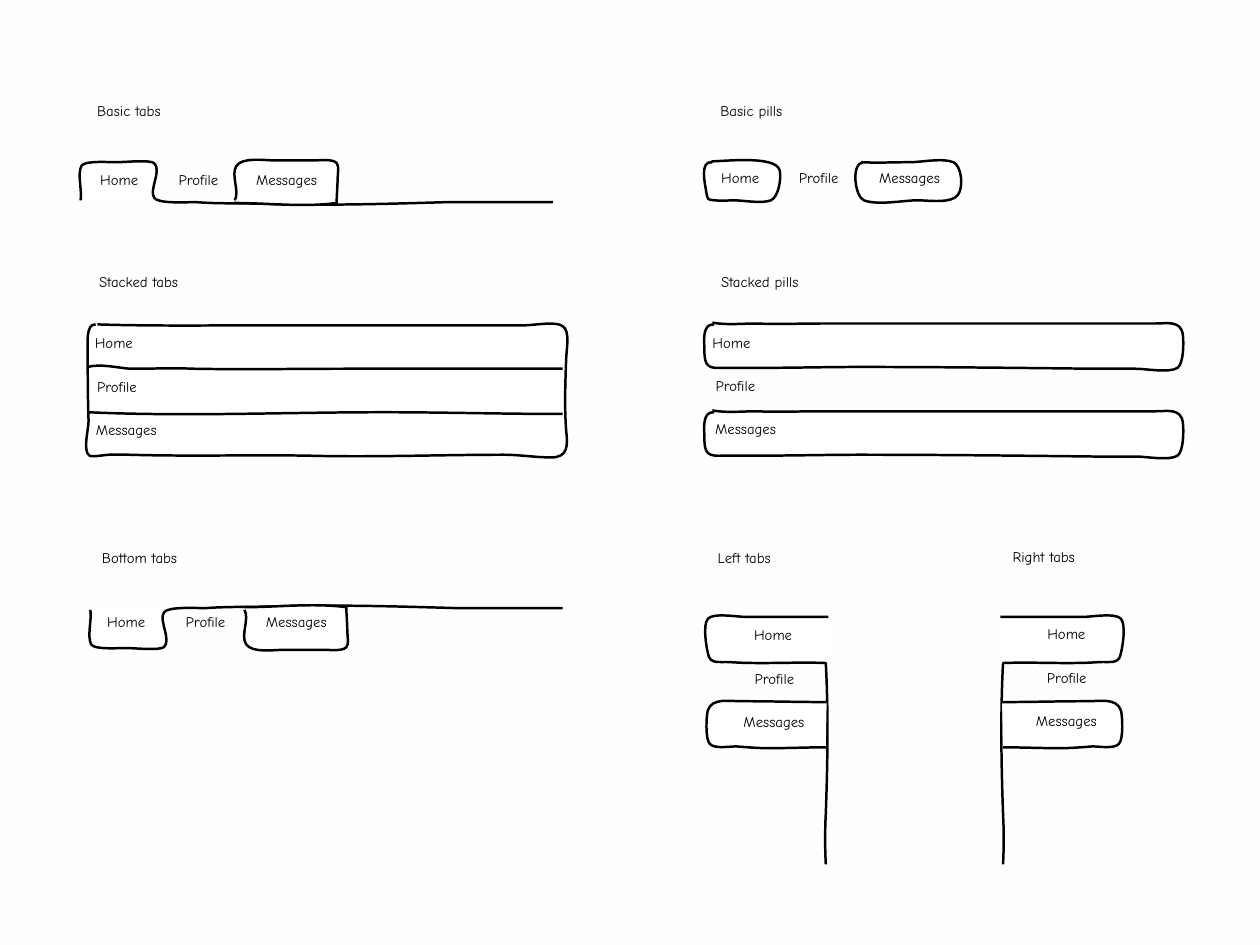
from dataclasses import dataclass

from lxml import etree
from pptx import Presentation
from pptx import util as u
from pptx.dml.color import RGBColor
from pptx.enum import text as t
from pptx.oxml.ns import qn


@dataclass(frozen=True)
class Theme:
    font: str = "Comic Neue"
    size: int = 12
    ink: str = "000000"
    fill: str = "FFFFFF"
    back: str = "FFFEFE"
    line: float = 2
    inset: float = 0.04
    high: float = 0.28


def cm(inches):
    return u.Cm(inches * 2.54)


def put(frame, text, font, size, color, align=t.PP_ALIGN.CENTER):
    part = frame.paragraphs[0]
    part.alignment = align
    run = part.add_run()
    run.text = text
    run.font.name = font
    run.font.size = u.Pt(size)
    run.font.color.rgb = RGBColor.from_string(color)


def bend(shape):
    """Turn each three line segments into one cubic curve."""
    lines = list(shape._element.iter(qn("a:lnTo")))
    for i in range(0, len(lines), 3):
        track = lines[i].getparent()
        curve = etree.SubElement(track, qn("a:cubicBezTo"))
        for line in lines[i:i + 3]:
            curve.append(line[0])
            track.remove(line)


class Sketch:
    def __init__(self, slide, theme):
        self.slide, self.theme = slide, theme
        back = slide.background.fill
        back.solid()
        back.fore_color.rgb = RGBColor.from_string(theme.back)

    def draw(self, start, curves, dx=0, dy=0, sx=1, sy=1):
        """Hand-drawn outline, shifted by dx, dy; a sign of -1 mirrors it."""
        points = [start]
        for curve in curves:
            points += zip(curve[::2], curve[1::2])
        points = [(cm(sx * x + dx), cm(sy * y + dy)) for x, y in points]
        form = self.slide.shapes.build_freeform(*points[0])
        form.add_line_segments(points[1:], close=False)
        shape = form.convert_to_shape()
        bend(shape)
        shape.shadow.inherit = False
        shape.fill.solid()
        shape.fill.fore_color.rgb = RGBColor.from_string(self.theme.fill)
        shape.line.color.rgb = RGBColor.from_string(self.theme.ink)
        shape.line.width = u.Pt(self.theme.line)

    def label(self, text, x, y, wide):
        th = self.theme
        box = self.slide.shapes.add_textbox(cm(x), cm(y), cm(wide), cm(th.high))
        frame = box.text_frame
        frame.word_wrap = False
        frame.auto_size = t.MSO_AUTO_SIZE.SHAPE_TO_FIT_TEXT
        frame.vertical_anchor = t.MSO_ANCHOR.MIDDLE
        frame.margin_left = frame.margin_right = cm(th.inset)
        frame.margin_top = frame.margin_bottom = cm(th.inset)
        put(frame, text, font=th.font, size=th.size, color=th.ink)

    def menu(self, lefts, top, step=0):
        """The three entries, in a row or stacked by step."""
        for i, ((text, wide), x) in enumerate(zip(ENTRIES, lefts)):
            self.label(text, x, top + i * step, wide)


# Outlines in inches: start point, then curves (two handles and an end)
HOME_TAB = (0.91, 2.26), [
    (0.93, 2.16, 0.87, 1.96, 0.92, 1.87), (0.96, 1.81, 1.22, 1.83, 1.32, 1.83),
    (1.4, 1.83, 1.69, 1.8, 1.74, 1.84), (1.83, 1.92, 1.68, 2.14, 1.74, 2.23),
    (1.78, 2.3, 2.1, 2.28, 2.21, 2.28), (2.47, 2.3, 2.74, 2.29, 3.01, 2.3),
    (3.69, 2.32, 4.37, 2.3, 5.05, 2.28), (5.45, 2.28, 5.85, 2.28, 6.24, 2.28)]
NEWS_TAB = (2.65, 2.26), [
    (2.71, 2.16, 2.6, 1.97, 2.67, 1.87), (2.74, 1.77, 2.99, 1.81, 3.1, 1.81),
    (3.25, 1.81, 3.4, 1.81, 3.55, 1.81), (3.6, 1.81, 3.76, 1.79, 3.8, 1.84),
    (3.83, 1.86, 3.81, 1.99, 3.81, 2.03), (3.81, 2.12, 3.8, 2.2, 3.8, 2.29),
    (3.43, 2.34, 3.02, 2.29, 2.64, 2.29)]
STACK = (1.1, 3.66), [
    (1.74, 3.68, 2.39, 3.67, 3.03, 3.67), (3.66, 3.67, 4.29, 3.67, 4.92, 3.67),
    (5.26, 3.67, 5.59, 3.67, 5.92, 3.67), (6.02, 3.67, 6.28, 3.62, 6.35, 3.68),
    (6.44, 3.73, 6.39, 3.96, 6.39, 4.05), (6.38, 4.32, 6.37, 4.6, 6.39, 4.86),
    (6.41, 5.03, 6.41, 5.16, 6.22, 5.16), (6.04, 5.16, 5.87, 5.13, 5.69, 5.13),
    (4.95, 5.13, 4.21, 5.16, 3.47, 5.14), (2.8, 5.13, 2.13, 5.15, 1.46, 5.13),
    (1.39, 5.13, 1.3, 5.13, 1.23, 5.13), (1.18, 5.13, 1.05, 5.16, 1.01, 5.14),
    (0.93, 5.09, 1, 4.84, 1, 4.75), (0.99, 4.48, 0.99, 4.21, 0.99, 3.94),
    (0.99, 3.87, 0.97, 3.65, 1.08, 3.66)]
RULE_ONE = (0.99, 4.14), [
    (1.13, 4.1, 1.33, 4.15, 1.47, 4.16), (1.72, 4.16, 1.95, 4.15, 2.19, 4.16),
    (2.76, 4.17, 3.33, 4.16, 3.91, 4.16), (4.72, 4.16, 5.54, 4.16, 6.35, 4.16)]
RULE_TWO = (0.99, 4.65), [
    (2.1, 4.7, 3.21, 4.65, 4.33, 4.65), (5, 4.65, 5.67, 4.67, 6.35, 4.67)]
HOME_PILL = (8.03, 1.82), [
    (8.18, 1.82, 8.75, 1.75, 8.8, 1.92), (8.82, 2.01, 8.79, 2.22, 8.7, 2.26),
    (8.59, 2.3, 8.4, 2.26, 8.28, 2.26), (8.22, 2.26, 8.14, 2.27, 8.07, 2.26),
    (7.98, 2.25, 7.99, 2.26, 7.97, 2.16), (7.96, 2.08, 7.89, 1.81, 8.04, 1.83)]
NEWS_PILL = (9.72, 1.83), [
    (9.9, 1.84, 10.09, 1.83, 10.27, 1.83), (10.4, 1.83, 10.64, 1.78, 10.76, 1.83),
    (10.85, 1.87, 10.88, 2.11, 10.81, 2.2), (10.74, 2.3, 10.47, 2.26, 10.36, 2.26),
    (10.19, 2.26, 9.91, 2.32, 9.75, 2.26), (9.65, 2.22, 9.6, 1.85, 9.74, 1.83)]
WIDE_PILL = (8.04, 3.64), [
    (8.2, 3.67, 8.38, 3.65, 8.53, 3.65), (8.78, 3.66, 9.03, 3.65, 9.28, 3.65),
    (9.8, 3.65, 10.31, 3.65, 10.83, 3.65), (11.56, 3.65, 12.3, 3.65, 13.04, 3.65),
    (13.17, 3.65, 13.33, 3.61, 13.35, 3.78), (13.36, 3.86, 13.36, 4.1, 13.29, 4.15),
    (13.2, 4.21, 12.93, 4.16, 12.82, 4.16), (12.66, 4.16, 12.5, 4.16, 12.34, 4.16),
    (11.47, 4.15, 10.59, 4.14, 9.7, 4.14), (9.34, 4.14, 8.97, 4.15, 8.61, 4.15),
    (8.46, 4.15, 8.31, 4.15, 8.16, 4.15), (7.99, 4.16, 7.95, 4.13, 7.95, 3.95),
    (7.95, 3.85, 7.92, 3.65, 8.06, 3.66)]
HOME_SIDE = (9.35, 6.96), [
    (9.03, 6.96, 8.73, 6.96, 8.42, 6.96), (8.33, 6.96, 8.05, 6.91, 7.99, 6.98),
    (7.93, 7.05, 7.97, 7.29, 7.99, 7.37), (8.01, 7.5, 8.11, 7.46, 8.25, 7.47),
    (8.38, 7.48, 8.5, 7.48, 8.62, 7.48), (8.85, 7.48, 9.09, 7.47, 9.32, 7.48),
    (9.35, 8.05, 9.34, 8.61, 9.32, 9.18), (9.31, 9.37, 9.31, 9.56, 9.32, 9.75)]
NEWS_SIDE = (9.33, 7.92), [
    (9.01, 7.92, 8.69, 7.91, 8.36, 7.91), (8.23, 7.91, 8.04, 7.87, 7.99, 8.01),
    (7.97, 8.07, 7.96, 8.34, 8.01, 8.39), (8.06, 8.45, 8.23, 8.42, 8.31, 8.42),
    (8.44, 8.43, 8.56, 8.44, 8.68, 8.44), (8.89, 8.44, 9.11, 8.43, 9.32, 8.43)]

# Words: entries with widths, headings with left, top and width
ENTRIES = [("Home", 0.51), ("Profile", 0.54), ("Messages", 0.77)]
HEADS = [("Basic tabs", 1.02, 1.11, 0.87), ("Basic pills", 8.06, 1.11, 0.84),
         ("Stacked tabs", 1.03, 3.04, 1.07), ("Stacked pills", 8.05, 3.04, 1.05),
         ("Bottom tabs", 1.05, 6.15, 1.05), ("Left tabs", 8.02, 6.15, 0.76),
         ("Right tabs", 11.34, 6.14, 0.88)]


def main():
    deck = Presentation()
    deck.slide_width, deck.slide_height = cm(14.22), cm(10.66)
    pen = Sketch(deck.slides.add_slide(deck.slide_layouts[6]), Theme())

    # Basic tabs, and bottom tabs as their mirror
    for place in ({}, {"dx": 0.11, "dy": 9.14, "sy": -1}):
        pen.draw(*HOME_TAB, **place)
        pen.draw(*NEWS_TAB, **place)

    # Stacked tabs and basic pills
    for path in (STACK, RULE_ONE, RULE_TWO, HOME_PILL, NEWS_PILL):
        pen.draw(*path)

    # Stacked pills
    for drop in (0, 0.99):
        pen.draw(*WIDE_PILL, dy=drop)

    # Left tabs, and right tabs as their mirror
    for place in ({}, {"dx": 20.64, "sx": -1}):
        pen.draw(*HOME_SIDE, **place)
        pen.draw(*NEWS_SIDE, **place)

    # Entries in rows, then in stacks
    pen.menu((1.09, 1.97, 2.85), 1.89)
    pen.menu((8.1, 8.97, 9.88), 1.86)
    pen.menu((1.17, 2.05, 2.96), 6.87)
    pen.menu((1.03, 1.05, 1.04), 3.73, step=0.49)
    pen.menu((8, 8.03, 8.03), 3.72, step=0.49)
    pen.menu((8.47, 8.47, 8.35), 7.02, step=0.49)
    pen.menu((11.78, 11.77, 11.65), 7.01, step=0.49)

    # Headings
    for head in HEADS:
        pen.label(*head)

    deck.save("out.pptx")


if __name__ == "__main__":
    main()
